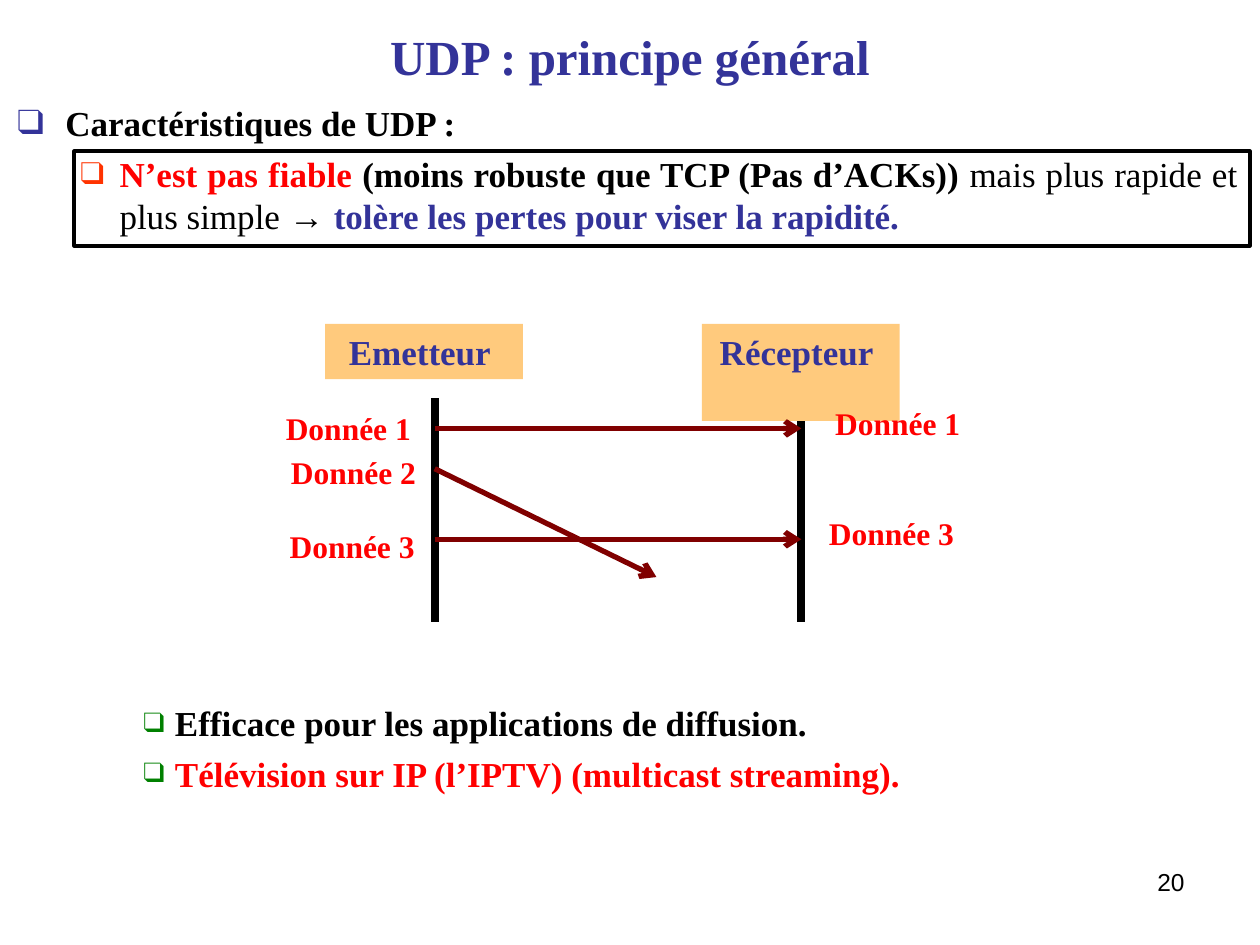
from dataclasses import dataclass

from lxml import etree
from pptx import Presentation
from pptx.dml.color import RGBColor
from pptx.enum.shapes import MSO_CONNECTOR, MSO_SHAPE
from pptx.enum.text import MSO_ANCHOR, PP_ALIGN
from pptx.oxml.ns import qn
from pptx.util import Inches, Pt

STRAIGHT = MSO_CONNECTOR.STRAIGHT
RECTANGLE = MSO_SHAPE.RECTANGLE
TOP, MIDDLE = MSO_ANCHOR.TOP, MSO_ANCHOR.MIDDLE
CENTER, RIGHT, JUSTIFY = PP_ALIGN.CENTER, PP_ALIGN.RIGHT, PP_ALIGN.JUSTIFY


@dataclass(frozen=True)
class Theme:
    serif: str = "Times New Roman"
    sans: str = "Arial"
    black: str = "000000"
    blue: str = "333399"
    red: str = "FF0000"
    orange: str = "FF3300"
    green: str = "008000"
    maroon: str = "800000"
    peach: str = "FFCA7D"
    title: int = 28
    body: int = 20
    label: int = 18
    number: int = 14


THEME = Theme()

# Level: left margin and hanging indent in inches, bullet colour, bullet size in %
LEVELS = [
    (0.38, 0.38, THEME.blue, 100),
    (0.81, 0.31, THEME.orange, 90),
    (1.25, 0.25, THEME.green, 80),
]

SENDER_X, RECEIVER_X = 3.45, 6.36
TIMELINE_TOP, TIMELINE_BOTTOM = 3.16, 4.94
ACTORS = [("Emetteur ", 2.58, 0.44), ("Récepteur ", 5.57, 0.77)]
MESSAGES = [
    (3.4, RECEIVER_X, 3.4),
    (3.72, 5.21, 4.58),
    (4.28, RECEIVER_X, 4.28),
]
LABELS = [
    ("Donnée 1", 2.08, 3.2),
    ("Donnée 1", 6.44, 3.16),
    ("Donnée 2", 2.12, 3.55),
    ("Donnée 3", 2.11, 4.13),
    ("Donnée 3", 6.39, 4.03),
]

# Each item: level and its spans (text, format that differs from bold black serif)
FEATURES = [
    (0, [("Caractéristiques de UDP :", {})]),
    (1, [
        ("N’est pas fiable ", {"color": THEME.red}),
        ("(moins robuste que TCP (Pas d’ACKs)) ", {}),
        ("mais plus rapide et plus simple ", {"bold": False}),
        ("→ ", {"bold": False, "name": THEME.sans}),
        ("tolère les pertes pour viser la rapidité. ", {"color": THEME.blue}),
    ]),
]
USES = [
    (2, [("Efficace pour les applications de diffusion.", {})]),
    (2, [("Télévision sur IP (l’IPTV) (multicast streaming).", {"color": THEME.red})]),
]


def set_attributes(target, values):
    for name, value in values.items():
        setattr(target, name, value)


def add_span(para, text, size=THEME.body, color=THEME.black, bold=True, name=THEME.serif):
    span = para.add_run()
    span.text = text
    set_attributes(span.font, {"size": Pt(size), "bold": bold, "name": name})
    span.font.color.rgb = RGBColor.from_string(color)


def set_frame(box, wrap=True, anchor=TOP):
    set_attributes(box.text_frame, {
        "word_wrap": wrap,
        "vertical_anchor": anchor,
        "margin_left": Inches(0.1),
        "margin_right": Inches(0.1),
        "margin_top": Inches(0.05),
        "margin_bottom": Inches(0.05),
    })


def add_text(slide, place, text, align=CENTER, wrap=True, anchor=TOP, **style):
    box = slide.shapes.add_textbox(*map(Inches, place))
    set_frame(box, wrap, anchor)
    para = box.text_frame.paragraphs[0]
    para.alignment = align
    add_span(para, text, **style)


def set_bullet(para, level):
    margin, hanging, color, percent = LEVELS[level]
    properties = para._p.get_or_add_pPr()
    properties.set("marL", str(Inches(margin)))
    properties.set("indent", str(-Inches(hanging)))
    bullet_color = etree.SubElement(properties, qn("a:buClr"))
    etree.SubElement(bullet_color, qn("a:srgbClr"), val=color)
    etree.SubElement(properties, qn("a:buSzPct"), val=str(percent * 1000))
    etree.SubElement(properties, qn("a:buFont"), typeface=THEME.serif)
    etree.SubElement(properties, qn("a:buChar"), char="❑")


def add_bullets(slide, place, items):
    box = slide.shapes.add_textbox(*map(Inches, place))
    set_frame(box)
    frame = box.text_frame
    for index, (level, spans) in enumerate(items):
        para = frame.add_paragraph() if index else frame.paragraphs[0]
        set_attributes(para, {"alignment": JUSTIFY, "space_before": Pt(5)})
        set_bullet(para, level)
        for text, style in spans:
            add_span(para, text, **style)


def add_line(slide, start, end, color, width, arrow=False):
    line = slide.shapes.add_connector(STRAIGHT, *map(Inches, (*start, *end)))
    line.line.color.rgb = RGBColor.from_string(color)
    line.line.width = Pt(width)
    if arrow:
        etree.SubElement(line.line._get_or_add_ln(), qn("a:tailEnd"), type="arrow")
    etree.SubElement(line._element.spPr, qn("a:effectLst"))


def add_rectangle(slide, place):
    box = slide.shapes.add_shape(RECTANGLE, *map(Inches, place))
    box.shadow.inherit = False
    return box


def add_actor(slide, name, left, height):
    box = add_rectangle(slide, (left, 2.57, 1.57, height))
    box.fill.solid()
    box.fill.fore_color.rgb = RGBColor.from_string(THEME.peach)
    box.line.fill.background()
    set_frame(box)
    para = box.text_frame.paragraphs[0]
    set_attributes(para, {"alignment": CENTER, "space_before": Pt(5)})
    add_span(para, name, color=THEME.blue)


def add_outline(slide, place):
    box = add_rectangle(slide, place)
    box.fill.background()
    box.line.color.rgb = RGBColor.from_string(THEME.black)
    box.line.width = Pt(2.25)


def add_exchange(slide):
    for x in (SENDER_X, RECEIVER_X):
        add_line(slide, (x, TIMELINE_TOP), (x, TIMELINE_BOTTOM), THEME.black, 4.5)
    for actor in ACTORS:
        add_actor(slide, *actor)
    for sent, end_x, end_y in MESSAGES:
        add_line(slide, (SENDER_X, sent), (end_x, end_y), THEME.maroon, 3, arrow=True)
    for text, left, top in LABELS:
        add_text(slide, (left, top, 1.37, 0.4), text, wrap=False,
                 size=THEME.label, color=THEME.red)


def main():
    deck = Presentation()
    set_attributes(deck, {"slide_width": Inches(10), "slide_height": Inches(7.5)})
    slide = deck.slides.add_slide(deck.slide_layouts[6])
    add_text(slide, (0.5, 0.12, 9, 0.64), "UDP : principe général", anchor=MIDDLE,
             size=THEME.title, color=THEME.blue)
    add_bullets(slide, (0.04, 0.76, 9.88, 1.2), FEATURES)
    add_bullets(slide, (0.04, 5.52, 9.88, 0.9), USES)
    add_text(slide, (7.17, 6.83, 2.33, 0.52), "20", align=RIGHT,
             size=THEME.number, bold=False, name=THEME.sans)
    add_exchange(slide)
    add_outline(slide, (0.59, 1.2, 9.33, 0.75))
    deck.save("out.pptx")


if __name__ == "__main__":
    main()
